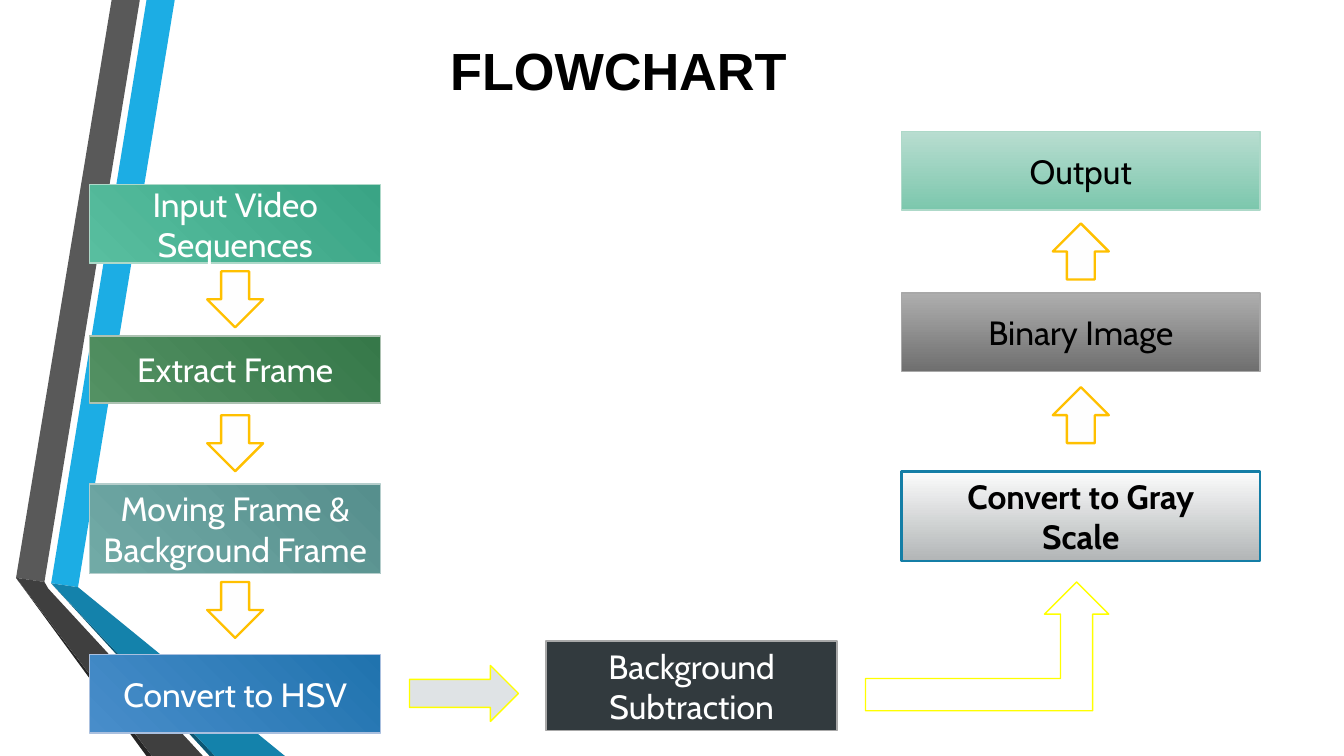
from dataclasses import dataclass

from pptx import Presentation
from pptx.dml.color import RGBColor
from pptx.enum.shapes import MSO_SHAPE as Preset
from pptx.enum.text import MSO_ANCHOR as Anchor, PP_ALIGN as Align
from pptx.oxml import parse_xml
from pptx.oxml.ns import nsdecls, qn
from pptx.util import Pt


@dataclass(frozen=True)
class Theme:
    """Colours, fonts and type sizes of the slide."""

    black: str = "000000"
    white: str = "FFFFFF"
    arrow_fill: str = "FEFEFE"
    arrow_line: str = "FFC000"
    link_fill: str = "DFE3E5"
    link_line: str = "FFFF00"
    mint: tuple = ("58BE9F", "3AA485")
    green: tuple = ("539163", "367849")
    teal: tuple = ("71AAA6", "568F8D")
    blue: tuple = ("488DCA", "2073AE")
    charcoal: tuple = ("323A3E",)
    pale_mint: tuple = ("B8DDD0", "7CC7AD")
    gray: tuple = ("AEAEAE", "6F6F6F")
    silver: tuple = ("FBFCFC", "B2B5B6")
    mint_line: str = "AED9C9"
    green_line: str = "ADC2B2"
    teal_line: str = "B5CECC"
    blue_line: str = "AAC0DF"
    gray_line: str = "A8A8A8"
    silver_line: str = "147EA6"
    title_font: str = "Arial"
    step_font: str = "Cabin"
    title_size: int = 28
    step_size: int = 18


THEME = Theme()

RIBBONS = [
    ("1CADE4", [(27.4, 312.5), (41.8, 314.6), (93.6, 0), (78.5, 0)]),
    ("595959", [(74.9, 0), (59.8, 0), (8.6, 309.6), (23.8, 311.8)]),
    ("262626", [(8.6, 309.6), (78.5, 405), (81.4, 405)]),
    ("0D5672", [(27.4, 312.5), (112.3, 405), (115.2, 405)]),
    ("1482AB", [(27.4, 312.5), (115.2, 405), (152.6, 405), (41.8, 314.6)]),
    ("3F3F3F", [(108.7, 405), (25.9, 315.4), (23.8, 311.8), (8.6, 309.6), (81.4, 405)]),
]

INPUT_STEPS = [
    (99, 42, ["Input Video Sequences"], THEME.mint, THEME.mint_line),
    (180, 36, ["Extract Frame"], THEME.green, THEME.green_line),
    (259.2, 48, ["Moving Frame & Background Frame"], THEME.teal, THEME.teal_line),
    (350.7, 42, ["Convert to HSV"], THEME.blue, THEME.blue_line),
]

OUTPUT_STEPS = [
    (70.5, 42, ["Output"], THEME.pale_mint, THEME.gray_line and THEME.mint_line, 0.75, False),
    (157, 42, ["Binary Image"], THEME.gray, THEME.gray_line, 0.75, False),
    (252.6, 48, ["Convert to Gray", "Scale"], THEME.silver, THEME.silver_line, 1.25, True),
]

INPUT_LEFT, INPUT_WIDTH = 48, 156
OUTPUT_LEFT, OUTPUT_WIDTH = 483, 192
ARROW_SIZE = 30


def rgb(value):
    """Turn a hex string into a colour."""
    return RGBColor.from_string(value)


def add_run(paragraph, text, font, size, color, bold=False):
    """Append one formatted run to a paragraph."""
    run = paragraph.add_run()
    run.text = text
    run.font.name = font
    run.font.size = Pt(size)
    run.font.bold = bold
    run.font.color.rgb = rgb(color)


def add_ribbon(slide, color, corners):
    """Draw one borderless facet of the ribbon on the left edge."""
    start, *rest = [(Pt(x), Pt(y)) for x, y in corners]
    builder = slide.shapes.build_freeform(*start)
    builder.add_line_segments(rest, close=True)
    facet = builder.convert_to_shape()
    facet.shadow.inherit = False
    facet.fill.solid()
    facet.fill.fore_color.rgb = rgb(color)
    facet.line.fill.background()


def add_title(slide, text):
    """Place and format the slide title."""
    title = slide.shapes.title
    title.left, title.top, title.width, title.height = Pt(234), Pt(5), Pt(312), Pt(52.5)
    title.text_frame.vertical_anchor = Anchor.BOTTOM
    heading = title.text_frame.paragraphs[0]
    heading.alignment = Align.LEFT
    add_run(heading, text, THEME.title_font, THEME.title_size, THEME.black, True)


def paint(shape, colors, radial):
    """Fill a shape with one colour, or with a gradient of two."""
    if len(colors) == 1:
        shape.fill.solid()
        shape.fill.fore_color.rgb = rgb(colors[0])
        return
    shape.fill.gradient()
    shape.fill.gradient_angle = 270
    for stop, color in zip(shape.fill.gradient_stops, colors):
        stop.color.rgb = rgb(color)
    if radial:
        gradient = shape._element.spPr.find(qn("a:gradFill"))
        corner_glow = parse_xml(
            f'<a:path {nsdecls("a")} path="circle">'
            '<a:fillToRect t="100000" r="100000"/></a:path>'
        )
        gradient.replace(gradient.find(qn("a:lin")), corner_glow)


def add_block(slide, preset, box, colors, line_color, line_width, radial=False):
    """Add a preset shape with its fill and outline."""
    block = slide.shapes.add_shape(preset, *[Pt(length) for length in box])
    block.shadow.inherit = False
    paint(block, colors, radial)
    block.line.color.rgb = rgb(line_color)
    block.line.width = Pt(line_width)
    return block


def add_step(slide, box, lines, colors, line_color, text_color,
             line_width=0.75, bold=False, radial=False):
    """Add a flowchart box with centred text."""
    step = add_block(slide, Preset.RECTANGLE, box, colors, line_color, line_width, radial)
    frame = step.text_frame
    frame.word_wrap = True
    frame.vertical_anchor = Anchor.MIDDLE
    for index, line in enumerate(lines):
        paragraph = frame.add_paragraph() if index else frame.paragraphs[0]
        paragraph.alignment = Align.CENTER
        add_run(paragraph, line, THEME.step_font, THEME.step_size, text_color, bold)


def add_flow_arrow(slide, center, top, rotation=0):
    """Add a block arrow between two steps of a column."""
    box = (center - ARROW_SIZE / 2, top, ARROW_SIZE, ARROW_SIZE)
    arrow = add_block(slide, Preset.DOWN_ARROW, box, (THEME.arrow_fill,), THEME.arrow_line, 1.25)
    arrow.rotation = rotation


def main():
    """Build and save the flowchart slide."""
    deck = Presentation()
    deck.slide_width, deck.slide_height = Pt(720), Pt(405)
    slide = deck.slides.add_slide(deck.slide_layouts[5])

    for color, corners in RIBBONS:
        add_ribbon(slide, color, corners)
    add_title(slide, "FLOWCHART")

    for top, height, lines, colors, line_color in INPUT_STEPS:
        add_step(slide, (INPUT_LEFT, top, INPUT_WIDTH, height), lines, colors,
                 line_color, THEME.white, radial=True)
    for top in (145.4, 222.5, 311.8):
        add_flow_arrow(slide, INPUT_LEFT + INPUT_WIDTH / 2, top)

    add_step(slide, (292.5, 343.4, INPUT_WIDTH, 48), ["Background", "Subtraction"],
             THEME.charcoal, THEME.gray_line, THEME.white)

    for top, height, lines, colors, line_color, line_width, bold in OUTPUT_STEPS:
        add_step(slide, (OUTPUT_LEFT, top, OUTPUT_WIDTH, height), lines, colors,
                 line_color, THEME.black, line_width, bold)
    for top in (119.7, 207.4):
        add_flow_arrow(slide, OUTPUT_LEFT + OUTPUT_WIDTH / 2, top, 180)

    add_block(slide, Preset.RIGHT_ARROW, (219.4, 356.5, 58.3, 30),
              (THEME.link_fill,), THEME.link_line, 0.75)
    add_block(slide, Preset.BENT_UP_ARROW, (463.7, 311.8, 130.3, 69),
              (THEME.white,), THEME.link_line, 0.75)

    deck.save("out.pptx")


if __name__ == "__main__":
    main()
